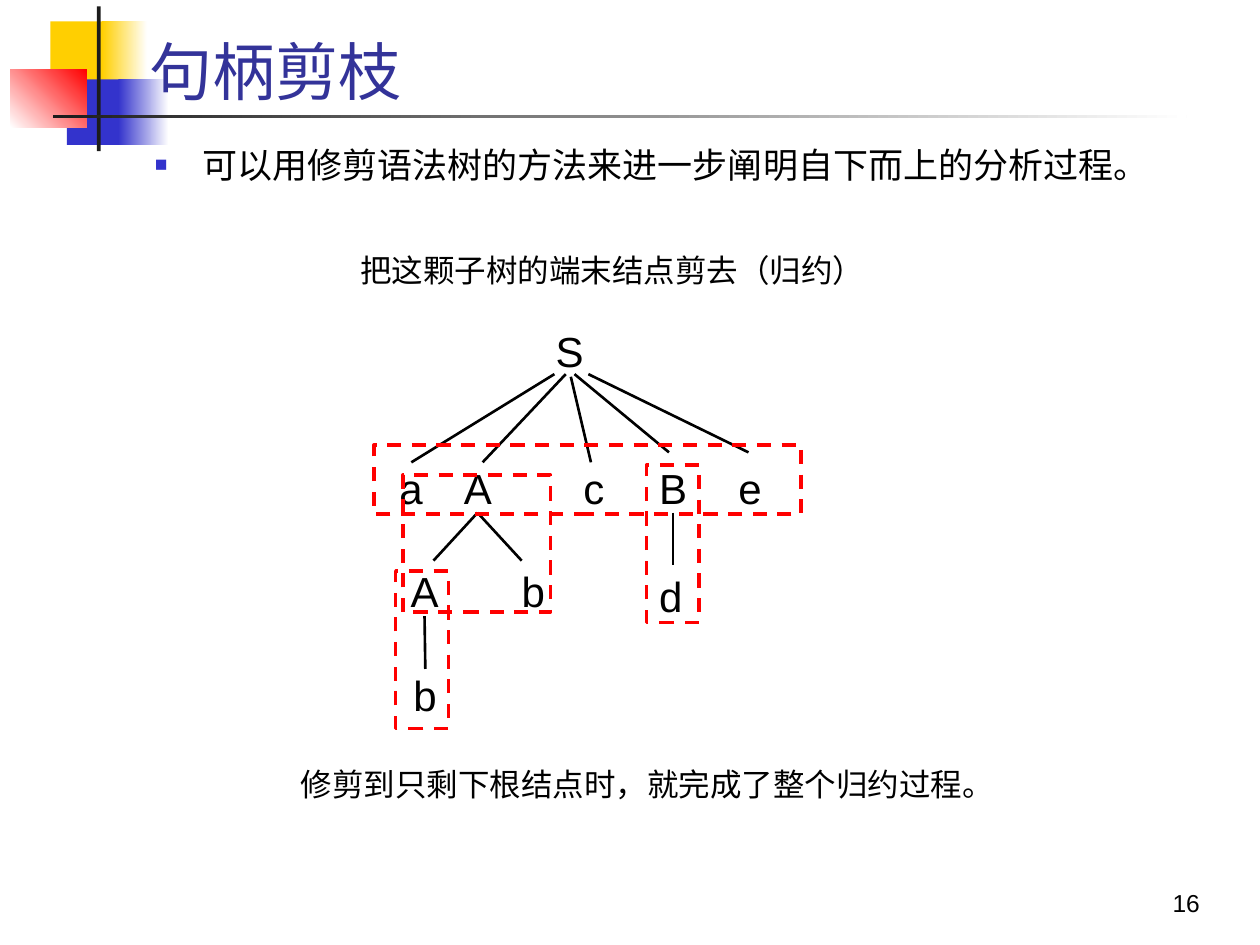
from lxml import etree
from pptx import Presentation
from pptx.dml.color import RGBColor
from pptx.enum import dml, shapes, text
from pptx.oxml import ns
from pptx.util import Pt

THEME = {
    "latin": "Arial", "cjk": "Noto Sans CJK SC",
    "ink": "000000", "title": "333399", "blue": "3333CC", "yellow": "FFCF01",
    "red": "FF0000", "dark": "1C1C1C", "white": "FFFFFF",
    "title_size": 36, "body_size": 20, "note_size": 18, "node_size": 24, "number_size": 14,
    "branch_width": 1.5, "handle_width": 2,
}

TITLE = ("句柄剪枝", (78.5, 16.6, 624.2, 49))
POINT = ("可以用修剪语法树的方法来进一步阐明自下而上的分析过程。", (81.4, 78.5, 622, 416))
PAGE = ("16", (542.9, 491.8, 149.8, 36))
NOTES = [
    ("把这颗子树的端末结点剪去（归约）", (198.7, 139.7, 305.3, 29)),
    ("修剪到只剩下根结点时，就完成了整个归约过程。", (164.9, 433.4, 414.7, 29)),
]
DECOR = [
    ((28.8, 12.2, 34.6, 37.4), ("yellow",), 0),
    ((58.3, 12.2, 25.9, 37.4), ("yellow", "white"), 0),
    ((38.2, 45.4, 33.1, 37.4), ("blue",), 0),
    ((67.7, 45.4, 28.8, 37.4), ("blue", "white"), 0),
    ((5.8, 39.6, 43.9, 33.1), ("white", "red"), 45),
    ((55.4, 3.6, 2.2, 82.8), ("dark",), 0),
    ((30.2, 65.5, 648, 2.2), ("dark", "white"), 0),
]
NODES = {
    "root": ("S", 317.5, 185.8),
    "a": ("a", 228.2, 264.2), "A": ("A", 265, 264.2), "c": ("c", 333.4, 264.2),
    "B": ("B", 376.6, 264.2), "e": ("e", 421.9, 264.2),
    "A low": ("A", 234.7, 323.3), "b": ("b", 298.1, 323.3), "d": ("d", 376.6, 326.2),
    "b low": ("b", 236.2, 382.3),
}
GLYPH_WIDTHS = {"S": 15.8, "A": 15.8, "B": 15.8, "c": 12.2}
NODE_WIDTH, NODE_HEIGHT = 13.7, 28.8
BRANCHES = [
    ((316.8, 213.8), (236.2, 264.2), None, "a"),
    ((323.3, 213.8), (275.8, 264.2), None, None),
    ((326.2, 215.3), (337.7, 264.2), None, None),
    ((328.3, 213.8), (382.3, 258.5), None, None),
    ((336.2, 213.8), (427.7, 258.5), None, None),
    ((384.5, 294.5), (384.5, 322.6), "B", None),
    ((273.6, 292.3), (247.7, 320.4), "A", None),
    ((273.6, 292.3), (298.1, 320.4), "A", None),
    ((242.6, 354.2), (242.6, 382.3), "A low", "b low"),
]
HANDLES = [
    (226.1, 326.2, 30.2, 90),
    (230.4, 271.4, 84.2, 78.5),
    (369.4, 265.7, 30.2, 90),
    (213.8, 254.2, 244.1, 39.6),
]
BOTTOM, TOP = 2, 0

deck = Presentation()
deck.slide_width, deck.slide_height = Pt(720), Pt(540)
slide = deck.slides.add_slide(deck.slide_layouts[6])


def color(name):
    return RGBColor.from_string(THEME[name])


def add_rect(box):
    rect = slide.shapes.add_shape(shapes.MSO_SHAPE.RECTANGLE, *map(Pt, box))
    rect.shadow.inherit = False
    return rect


def add_decor(box, tones, angle):
    block = add_rect(box)
    block.line.fill.background()
    if len(tones) == 1:
        block.fill.solid()
        block.fill.fore_color.rgb = color(tones[0])
        return
    block.fill.gradient()
    block.fill.gradient_angle = angle
    for stop, tone in zip(block.fill.gradient_stops, tones):
        stop.color.rgb = color(tone)


def add_text(words, box, size, tone="ink", font="latin", wrap=True,
             anchor=text.MSO_ANCHOR.TOP, align=None, inset=None):
    label = slide.shapes.add_textbox(*map(Pt, box))
    frame = label.text_frame
    frame.word_wrap = wrap
    frame.vertical_anchor = anchor
    if not wrap:
        frame.auto_size = text.MSO_AUTO_SIZE.SHAPE_TO_FIT_TEXT
    if inset is not None:
        frame.margin_left = frame.margin_right = Pt(inset)
        frame.margin_top = frame.margin_bottom = Pt(inset)
    line = frame.paragraphs[0]
    line.alignment = align
    run = line.add_run()
    run.text = words
    run.font.size = Pt(THEME[size])
    run.font.name = THEME[font]
    run.font.color.rgb = color(tone)
    east = etree.SubElement(run.font._element, ns.qn("a:ea"))
    east.set("typeface", THEME["cjk"])
    return label


def add_bullet(line, hanging):
    props = line._p.get_or_add_pPr()
    props.set("marL", str(Pt(hanging)))
    props.set("indent", str(-Pt(hanging)))
    tint = etree.SubElement(props, ns.qn("a:buClr"))
    etree.SubElement(tint, ns.qn("a:srgbClr")).set("val", THEME["blue"])
    etree.SubElement(props, ns.qn("a:buSzPct")).set("val", "60000")
    etree.SubElement(props, ns.qn("a:buFont")).set("typeface", THEME["latin"])
    etree.SubElement(props, ns.qn("a:buChar")).set("char", "■")


def add_branch(start, end, parent, child):
    branch = slide.shapes.add_connector(
        shapes.MSO_CONNECTOR.STRAIGHT, *map(Pt, start + end))
    branch.line.color.rgb = color("ink")
    branch.line.width = Pt(THEME["branch_width"])
    etree.SubElement(branch._element.spPr, ns.qn("a:effectLst"))
    if parent:
        branch.begin_connect(nodes[parent], BOTTOM)
    if child:
        branch.end_connect(nodes[child], TOP)


for decor in DECOR:
    add_decor(*decor)

title = add_text(*TITLE, "title_size", "title", anchor=text.MSO_ANCHOR.BOTTOM)
title.text_frame.paragraphs[0].line_spacing = 0.85
point = add_text(*POINT, "body_size")
add_bullet(point.text_frame.paragraphs[0], 27)
add_text(*PAGE, "number_size", anchor=text.MSO_ANCHOR.BOTTOM, align=text.PP_ALIGN.RIGHT)

nodes = {}
for key, (symbol, left, top) in NODES.items():
    box = (left, top, GLYPH_WIDTHS.get(symbol, NODE_WIDTH), NODE_HEIGHT)
    nodes[key] = add_text(symbol, box, "node_size", wrap=False,
                          align=text.PP_ALIGN.JUSTIFY, inset=0)
for branch_ends in BRANCHES:
    add_branch(*branch_ends)

for box in HANDLES:
    handle = add_rect(box)
    handle.fill.background()
    handle.line.color.rgb = color("red")
    handle.line.width = Pt(THEME["handle_width"])
    handle.line.dash_style = dml.MSO_LINE.DASH

for words, box in NOTES:
    add_text(words, box, "note_size", font="cjk", wrap=False)

deck.save("out.pptx")
